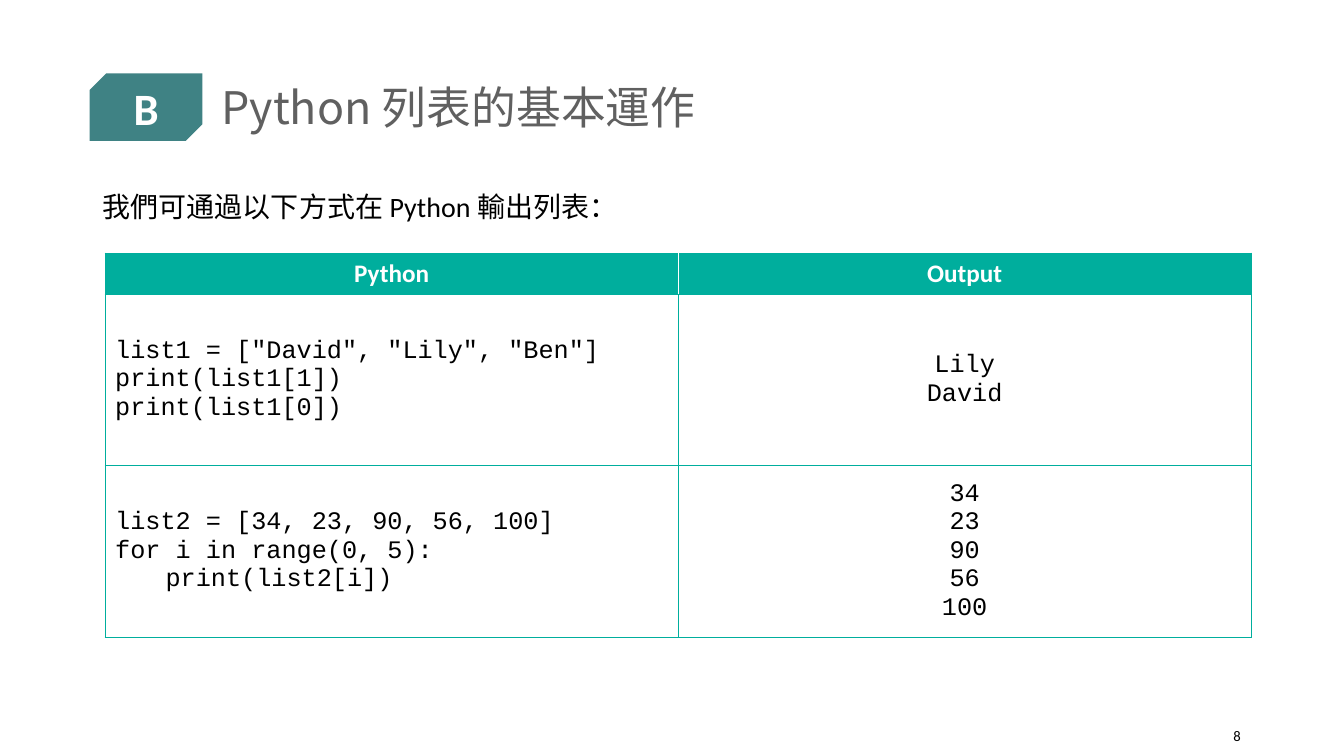
from dataclasses import dataclass
from typing import Any

from pptx import Presentation
from pptx.dml.color import RGBColor
from pptx.enum.shapes import MSO_SHAPE as Shape
from pptx.enum.text import MSO_ANCHOR as Anchor, PP_ALIGN as Align
from pptx.oxml import parse_xml
from pptx.oxml.ns import nsdecls
from pptx.util import Cm, Pt

COLORS = {
    "badge": "3F8284",
    "title": "606060",
    "teal": "00AE9D",
    "white": "FFFFFF",
    "black": "000000",
}
SANS, CODE, CJK = "Calibri", "Courier New", "Noto Sans CJK TC"


@dataclass(frozen=True)
class Label:
    """A text box; the box is left, top, width, height in cm."""
    text: str
    box: tuple[float, float, float, float]
    fmt: dict[str, Any]
    anchor: Anchor = Anchor.MIDDLE


@dataclass(frozen=True)
class Example:
    code: str
    output: str


LABELS = [
    Label("Python 列表的基本運作", (5.33, 1.02, 26.21, 3.5),
          dict(size=32, font=CJK, color="title", spacing=0.9)),
    Label("8", (29.39, 18.03, 2.13, 1.02), dict(size=10.5, align=Align.RIGHT)),
    Label("B", (2.34, 1.9, 2.69, 1.63),
          dict(size=32, color="white", bold=True, align=Align.CENTER)),
    Label("我們可通過以下方式在 Python 輸出列表：", (2.34, 4.47, 29.21, 13),
          dict(size=20, spacing=1.2), Anchor.TOP),
]

EXAMPLES = [
    Example('list1 = ["David", "Lily", "Ben"]\nprint(list1[1])\nprint(list1[0])',
            "Lily\nDavid"),
    Example("list2 = [34, 23, 90, 56, 100]\nfor i in range(0, 5):\n\tprint(list2[i])",
            "34\n23\n90\n56\n100"),
]


def rgb(name: str) -> RGBColor:
    return RGBColor.from_string(COLORS[name])


def write(tf, text: str, *, size: float = 18, font: str = SANS, color: str = "black",
          bold: bool = False, align: Align = Align.LEFT, spacing: float = 1.0) -> None:
    """Put each line of text in its own formatted paragraph."""
    for i, line in enumerate(text.split("\n")):
        p = tf.add_paragraph() if i else tf.paragraphs[0]
        p.alignment, p.line_spacing = align, spacing
        r = p.add_run()
        r.text = line
        r.font.size, r.font.name, r.font.bold = Pt(size), font, bold
        r.font.color.rgb = rgb(color)
        r.font._element.get_or_add_latin().addnext(
            parse_xml(f'<a:ea {nsdecls("a")} typeface="{CJK}"/>'))


def add_label(s, label: Label) -> None:
    tf = s.shapes.add_textbox(*map(Cm, label.box)).text_frame
    tf.word_wrap = True
    tf.vertical_anchor = label.anchor
    write(tf, label.text, **label.fmt)


def add_badge(s) -> None:
    sp = s.shapes.add_shape(Shape.SNIP_2_DIAG_RECTANGLE, Cm(2.26), Cm(1.85), Cm(2.84), Cm(1.7))
    sp.adjustments[0], sp.adjustments[1] = 0.245, 0
    sp.shadow.inherit = False
    sp.fill.solid()
    sp.fill.fore_color.rgb = rgb("badge")
    sp.line.fill.background()


def set_borders(cell, **colors: str) -> None:
    """Give the cell 1 pt borders, teal unless a side is named."""
    tc_pr = cell._tc.get_or_add_tcPr()
    for i, side in enumerate("LRTB"):
        color = COLORS[colors.get(side, "teal")]
        tc_pr.insert(i, parse_xml(
            f'<a:ln{side} {nsdecls("a")} w="{Pt(1)}"><a:solidFill>'
            f'<a:srgbClr val="{color}"/></a:solidFill></a:ln{side}>'))


def fill_cell(cell, text: str, fill: str | None, borders: dict[str, str], **fmt) -> None:
    cell.vertical_anchor = Anchor.MIDDLE
    if fill:
        cell.fill.solid()
        cell.fill.fore_color.rgb = rgb(fill)
    else:
        cell.fill.background()
    set_borders(cell, **borders)
    write(cell.text_frame, text, **fmt)


def add_examples(s) -> None:
    heights = [1.04] + [4.32] * len(EXAMPLES)
    table = s.shapes.add_table(len(heights), 2, Cm(2.65), Cm(6.38),
                               Cm(28.88), Cm(sum(heights))).table
    for row, height in zip(table.rows, heights):
        row.height = Cm(height)

    # Header, with a white divider between the two columns
    for col, (text, side) in enumerate([("Python", "R"), ("Output", "L")]):
        fill_cell(table.cell(0, col), text, "teal", {side: "white"},
                  color="white", bold=True, align=Align.CENTER)

    # Code on the left, what it prints on the right
    for row, example in enumerate(EXAMPLES, 1):
        fill_cell(table.cell(row, 0), example.code, None, {}, font=CODE)
        fill_cell(table.cell(row, 1), example.output, None, {}, font=CODE, align=Align.CENTER)


def main() -> None:
    prs = Presentation()
    prs.slide_width, prs.slide_height = Cm(33.87), Cm(19.05)
    s = prs.slides.add_slide(prs.slide_layouts[6])
    add_badge(s)
    for label in LABELS:
        add_label(s, label)
    add_examples(s)
    prs.save("out.pptx")


if __name__ == "__main__":
    main()
